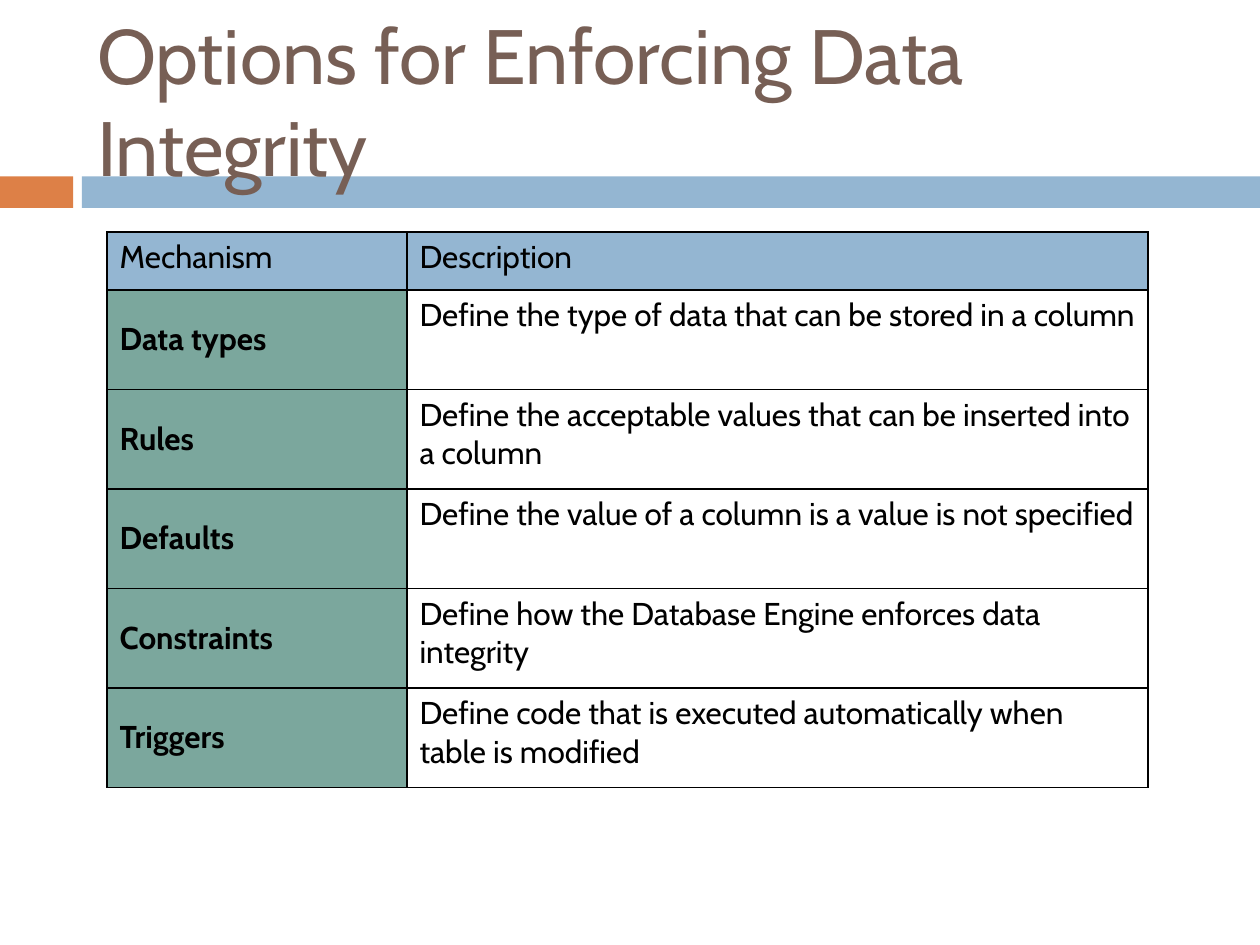
from dataclasses import dataclass

from lxml.etree import SubElement
from pptx import Presentation
from pptx.dml.color import RGBColor
from pptx.enum.shapes import MSO_SHAPE as Shape
from pptx.enum.text import MSO_ANCHOR as Anchor, MSO_AUTO_SIZE as AutoSize, PP_ALIGN as Align
from pptx.oxml.ns import qn
from pptx.slide import Slide
from pptx.table import _Cell as Cell
from pptx.text.text import TextFrame
from pptx.util import Inches, Pt


@dataclass(frozen=True)
class Theme:
    font: str = "Cabin"
    title_size: int = 44
    table_size: int = 18
    border_width: float = 1
    title: str = "775F55"
    text: str = "000000"
    orange: str = "DD8047"
    blue: str = "94B6D2"
    green: str = "7BA79D"
    white: str = "FFFFFF"


@dataclass(frozen=True)
class Bar:
    left: float
    width: float
    color: str


@dataclass(frozen=True)
class Mechanism:
    name: str
    description: str


THEME = Theme()
BARS = [Bar(0, 0.58, THEME.orange), Bar(0.65, 9.35, THEME.blue)]
BAR_TOP, BAR_HEIGHT = 1.4, 0.25
COLUMN_WIDTHS = [2.38, 5.88]
HEADER_HEIGHT, ROW_HEIGHT = 0.46, 0.79
HEADER = Mechanism("Mechanism", "Description")
MECHANISMS = [
    Mechanism("Data types", "Define the type of data that can be stored in a column"),
    Mechanism("Rules", "Define the acceptable values that can be inserted into a column"),
    Mechanism("Defaults", "Define the value of a column is a value is not specified"),
    Mechanism("Constraints", "Define how the Database Engine enforces data integrity"),
    Mechanism("Triggers", "Define code that is executed automatically when table is modified"),
]


def add_text(frame: TextFrame, text: str, size: int, color: str, bold: bool = False) -> None:
    para = frame.paragraphs[0]
    para.alignment = Align.LEFT
    span = para.add_run()
    span.text = text
    span.font.name = THEME.font
    span.font.size = Pt(size)
    span.font.bold = bold
    span.font.color.rgb = RGBColor.from_string(color)


def add_bar(page: Slide, bar: Bar) -> None:
    box = page.shapes.add_shape(Shape.RECTANGLE, Inches(bar.left), Inches(BAR_TOP),
                                Inches(bar.width), Inches(BAR_HEIGHT))
    box.shadow.inherit = False
    box.fill.solid()
    box.fill.fore_color.rgb = RGBColor.from_string(bar.color)
    box.line.fill.background()


def set_title(page: Slide, text: str) -> None:
    title = page.shapes.title
    title.left, title.top = Inches(0.67), Inches(0.25)
    title.width, title.height = Inches(8.92), Inches(1.08)
    frame = title.text_frame
    frame.word_wrap = True
    frame.auto_size = AutoSize.NONE
    frame.vertical_anchor = Anchor.MIDDLE
    add_text(frame, text, THEME.title_size, THEME.title)
    # The second line reaches over the bars, so the title goes in front of them.
    title.element.getparent().append(title.element)


def add_borders(cell: Cell) -> None:
    """Draw all four sides; call before filling, as the schema wants lines first."""
    properties = cell._tc.get_or_add_tcPr()
    for side in ("lnL", "lnR", "lnT", "lnB"):
        line = SubElement(properties, qn(f"a:{side}"), w=str(Pt(THEME.border_width)))
        fill = SubElement(line, qn("a:solidFill"))
        SubElement(fill, qn("a:srgbClr"), val=THEME.text)


def write_cell(cell: Cell, text: str, fill: str, is_name: bool = False) -> None:
    add_borders(cell)
    cell.fill.solid()
    cell.fill.fore_color.rgb = RGBColor.from_string(fill)
    cell.vertical_anchor = Anchor.MIDDLE if is_name else Anchor.TOP
    add_text(cell.text_frame, text, THEME.table_size, THEME.text, bold=is_name)


def add_mechanism_table(page: Slide) -> None:
    heights = [HEADER_HEIGHT] + [ROW_HEIGHT] * len(MECHANISMS)
    table = page.shapes.add_table(len(heights), len(COLUMN_WIDTHS), Inches(0.85), Inches(1.84),
                                  Inches(sum(COLUMN_WIDTHS)), Inches(sum(heights))).table
    for column, width in zip(table.columns, COLUMN_WIDTHS):
        column.width = Inches(width)
    for row, height in zip(table.rows, heights):
        row.height = Inches(height)

    write_cell(table.cell(0, 0), HEADER.name, THEME.blue)
    write_cell(table.cell(0, 1), HEADER.description, THEME.blue)
    for index, mechanism in enumerate(MECHANISMS, start=1):
        write_cell(table.cell(index, 0), mechanism.name, THEME.green, is_name=True)
        write_cell(table.cell(index, 1), mechanism.description, THEME.white)


def main() -> None:
    deck = Presentation()
    deck.slide_width, deck.slide_height = Inches(10), Inches(7.5)
    page = deck.slides.add_slide(deck.slide_layouts.get_by_name("Title Only"))
    for bar in BARS:
        add_bar(page, bar)
    set_title(page, "Options for Enforcing Data Integrity")
    add_mechanism_table(page)
    deck.save("out.pptx")


if __name__ == "__main__":
    main()
